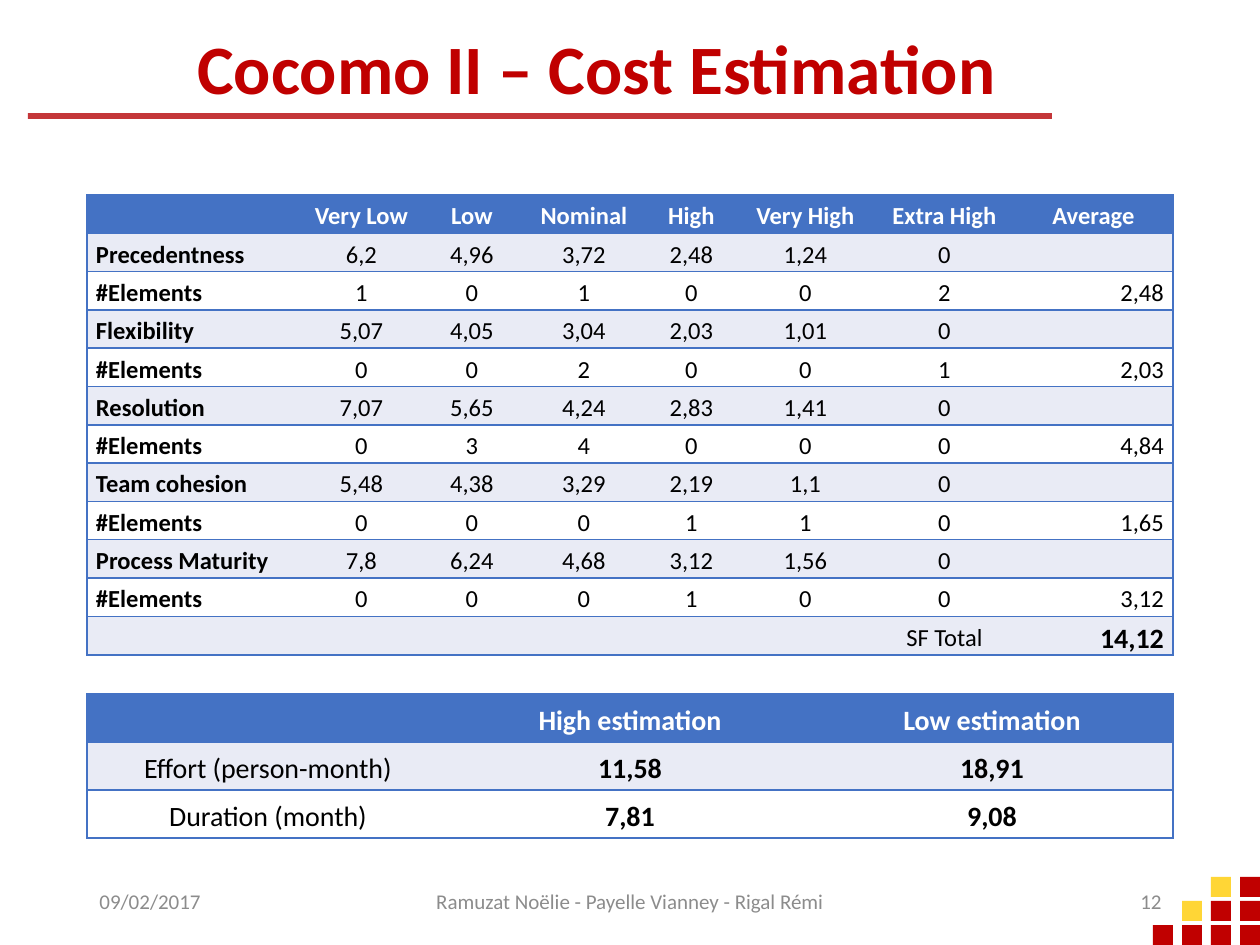
"""Build the Cocomo II cost estimation slide."""
from lxml import etree
from pptx import Presentation
from pptx.dml.color import RGBColor
from pptx.enum.shapes import MSO_SHAPE
from pptx.enum.text import MSO_ANCHOR, PP_ALIGN
from pptx.oxml.ns import qn
from pptx.util import Pt

RECTANGLE = MSO_SHAPE.RECTANGLE
MIDDLE = MSO_ANCHOR.MIDDLE
LEFT, CENTER, RIGHT = PP_ALIGN.LEFT, PP_ALIGN.CENTER, PP_ALIGN.RIGHT
PX = 914400 / 126
COLORS = {
    "red": "C00000", "rule": "C43639", "yellow": "FFD636", "blue": "4472C4",
    "band": "E9EBF5", "white": "FFFFFF", "black": "000000", "grey": "8C8C8C",
}


def write(paragraph, text, size, color, bold, align, spacing):
    paragraph.alignment = align
    paragraph.line_spacing = spacing
    if not text:
        paragraph._p.get_or_add_endParaRPr().set("sz", str(size * 100))
        return
    run = paragraph.add_run()
    run.text = text
    run.font.name = "Calibri"
    run.font.size = Pt(size)
    run.font.bold = bold
    run.font.color.rgb = RGBColor.from_string(COLORS[color])


def style_cell(cell, fill, is_first, is_last):
    cell.vertical_anchor = MIDDLE
    cell.margin_left = cell.margin_right = round(9 * PX)
    cell.margin_top = cell.margin_bottom = 0
    properties = cell._tc.get_or_add_tcPr()
    for side, drawn in (("L", is_first), ("R", is_last), ("T", True), ("B", True)):
        border = etree.SubElement(properties, qn(f"a:ln{side}"), w=str(Pt(1)))
        if drawn:
            paint = etree.SubElement(border, qn("a:solidFill"))
            etree.SubElement(paint, qn("a:srgbClr"), val=COLORS["blue"])
        else:
            etree.SubElement(border, qn("a:noFill"))
    cell.fill.solid()
    cell.fill.fore_color.rgb = RGBColor.from_string(COLORS[fill])


deck = Presentation()
deck.slide_width, deck.slide_height = round(1260 * PX), round(945 * PX)
slide = deck.slides.add_slide(deck.slide_layouts[6])

blocks = [(28, 113, 1024, 6, "rule")]
mosaic = [(2, "yellow red"), (1, "yellow red red"), (0, "red red red red")]
for level, tones in mosaic:
    tones = tones.split()
    for position, tone in enumerate(tones, 4 - len(tones)):
        blocks.append((1153 + 29 * position, 925 - 24 * level, 20, 20, tone))
for x, y, width, height, tone in blocks:
    block = slide.shapes.add_shape(
        RECTANGLE, *(round(v * PX) for v in (x, y, width, height)))
    block.shadow.inherit = False
    block.fill.solid()
    block.fill.fore_color.rgb = RGBColor.from_string(COLORS[tone])
    block.line.fill.background()

labels = [
    (185, 32, 867, 81, "Cocomo II – Cost Estimation", 39.6, "red", True, LEFT, 0.9),
    (87, 876, 284, 50, "09/02/2017", 12, "grey", False, LEFT, 1.0),
    (417, 876, 426, 50, "Ramuzat Noëlie - Payelle Vianney - Rigal Rémi",
     12, "grey", False, CENTER, 1.0),
    (890, 876, 284, 50, "12", 12, "grey", False, RIGHT, 1.0),
]
for x, y, width, height, *wording in labels:
    label = slide.shapes.add_textbox(*(round(v * PX) for v in (x, y, width, height)))
    label.text_frame.word_wrap = True
    label.text_frame.vertical_anchor = MIDDLE
    write(label.text_frame.paragraphs[0], *wording)

scale_factors = [
    ["", "Very Low", "Low", "Nominal", "High", "Very High", "Extra High", "Average"],
    ["Precedentness", "6,2", "4,96", "3,72", "2,48", "1,24", "0", ""],
    ["#Elements", "1", "0", "1", "0", "0", "2", "2,48"],
    ["Flexibility", "5,07", "4,05", "3,04", "2,03", "1,01", "0", ""],
    ["#Elements", "0", "0", "2", "0", "0", "1", "2,03"],
    ["Resolution", "7,07", "5,65", "4,24", "2,83", "1,41", "0", ""],
    ["#Elements", "0", "3", "4", "0", "0", "0", "4,84"],
    ["Team cohesion", "5,48", "4,38", "3,29", "2,19", "1,1", "0", ""],
    ["#Elements", "0", "0", "0", "1", "1", "0", "1,65"],
    ["Process Maturity", "7,8", "6,24", "4,68", "3,12", "1,56", "0", ""],
    ["#Elements", "0", "0", "0", "1", "0", "0", "3,12"],
    ["", "", "", "", "", "", "SF Total", "14,12"],
]
estimations = [
    ["", "High estimation", "Low estimation"],
    ["Effort (person-month)", "11,58", "18,91"],
    ["Duration (month)", "7,81", "9,08"],
]
factor_widths = [213, 123, 98, 126, 89, 139, 139, 159]
tables = [
    (scale_factors, 195, 460, factor_widths, 14, [LEFT] + [CENTER] * 6 + [RIGHT], {0}),
    (estimations, 694, 144, [362] * 3, 16, [CENTER] * 3, {1, 2}),
]
for rows, top, height, widths, base_size, aligns, bold_columns in tables:
    table = slide.shapes.add_table(
        len(rows), len(widths),
        *(round(v * PX) for v in (87, top, sum(widths), height))).table
    for column, width in zip(table.columns, widths):
        column.width = round(width * PX)
    for r, row in enumerate(rows):
        header = r == 0
        fill = "blue" if header else "band" if r % 2 else "white"
        for c, text in enumerate(row):
            cell = table.cell(r, c)
            style_cell(cell, fill, c == 0, c == len(row) - 1)
            total = text == "14,12"
            write(cell.text_frame.paragraphs[0], text, 16 if total else base_size,
                  "white" if header else "black",
                  header or total or c in bold_columns,
                  CENTER if header else aligns[c], 1.15)

deck.save("out.pptx")
